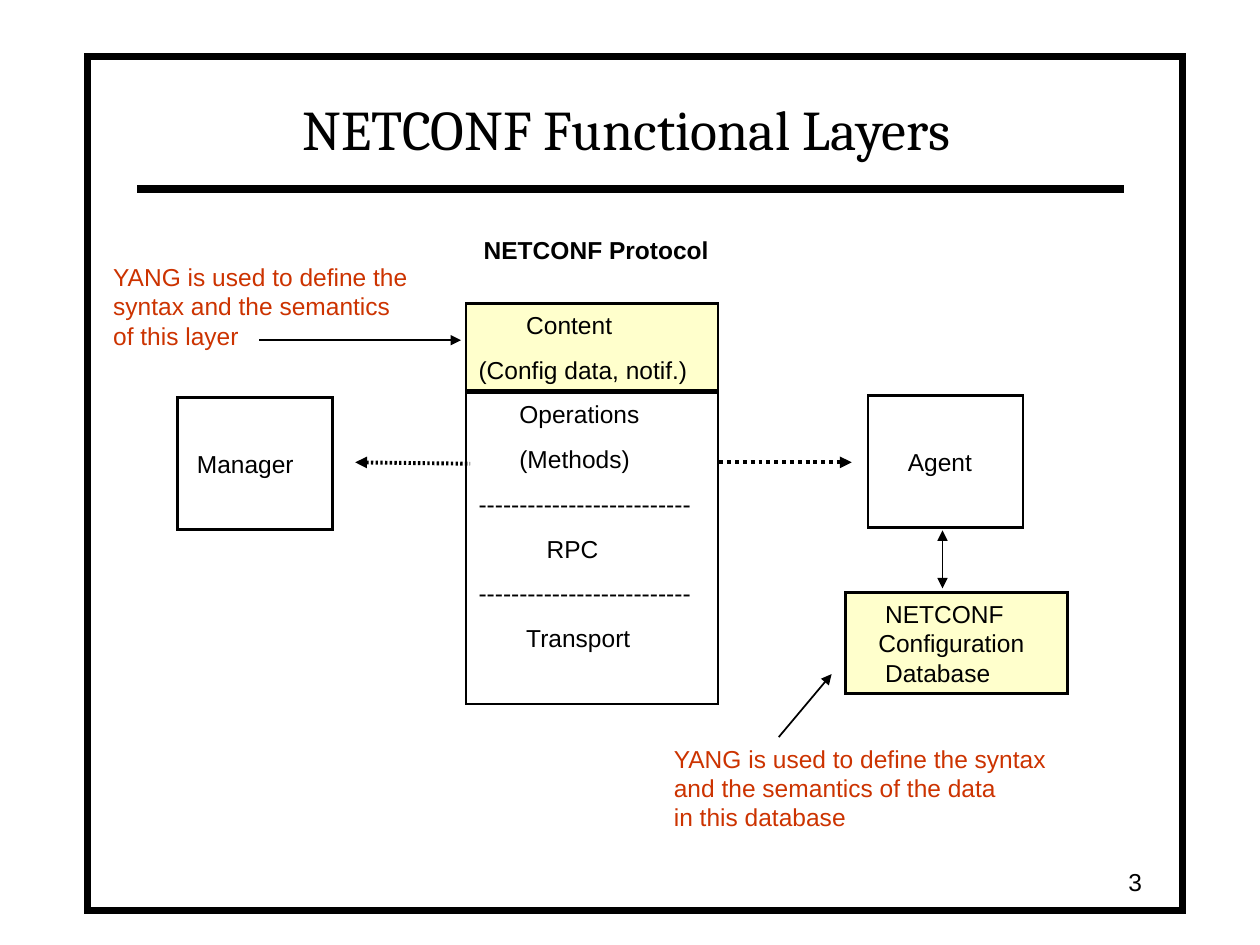
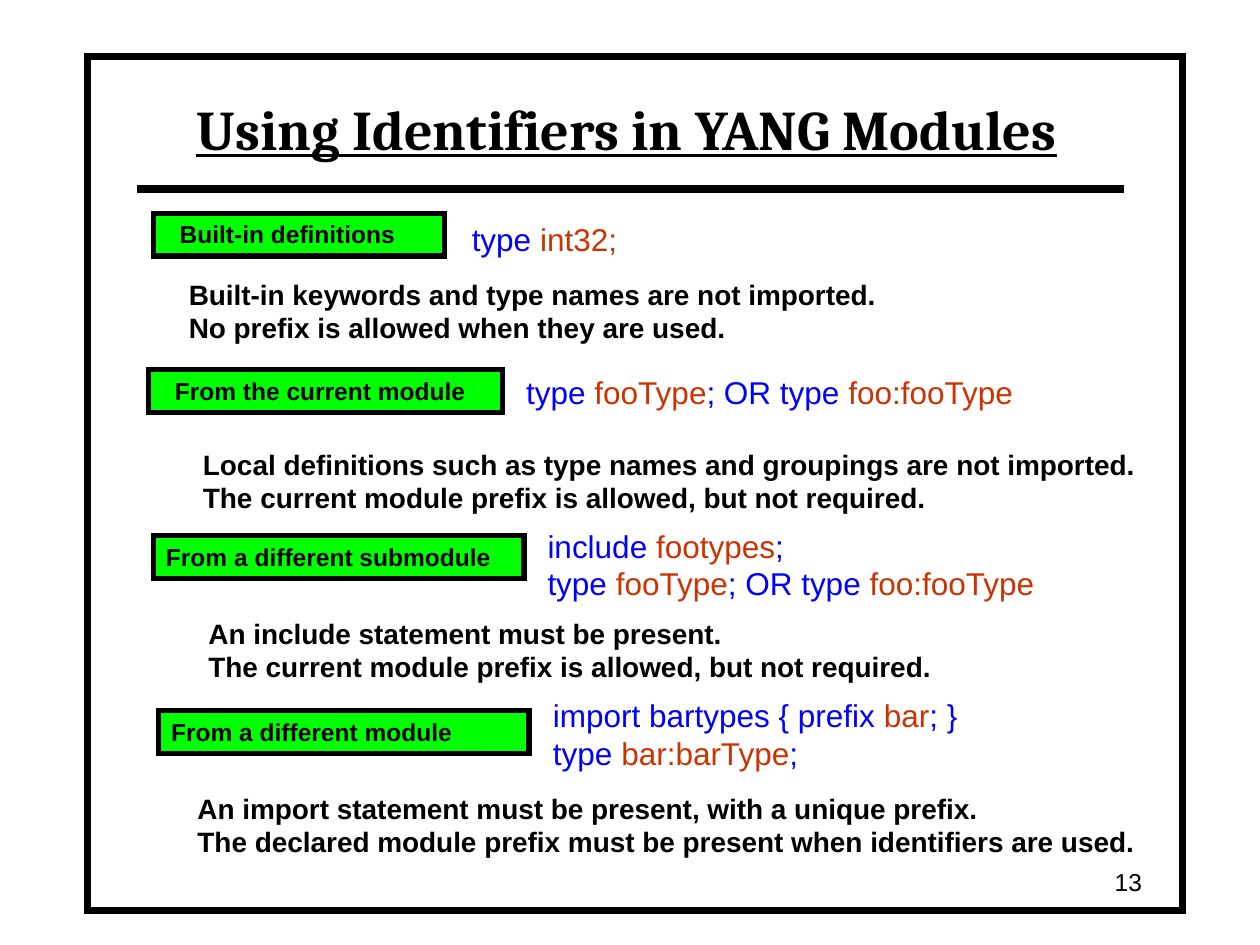
import pptx
import pptx.util
import pptx.dml.color
import pptx.enum.dml
import pptx.enum.shapes
import pptx.enum.text
import pptx.oxml.ns
import lxml.etree

Pt = pptx.util.Pt
rgb = pptx.dml.color.RGBColor.from_string
qn = pptx.oxml.ns.qn
ALIGN = pptx.enum.text.PP_ALIGN
ANCHOR = pptx.enum.text.MSO_ANCHOR
RECT = pptx.enum.shapes.MSO_SHAPE.RECTANGLE
DOT = pptx.enum.dml.MSO_LINE.ROUND_DOT

BLACK, WHITE, RED, BLUE = "000000", "FFFFFF", "CC3300", "0000FF"
CREAM, GREEN = "FFFFCC", "00FF00"


def box(slide, at, lines, size=14, inks=(BLACK,), bold=False, fill=None,
        edge=0, gap=0, dents=(), side=ALIGN.LEFT, anchor=ANCHOR.TOP):
    """Add a text box, or a rectangle if it has an edge.

    The parts of a line split by | take the inks in turn.
    """
    at = [Pt(n) for n in at]
    if edge:
        item = slide.shapes.add_shape(RECT, *at)
        item.shadow.inherit = False
        item.line.color.rgb = rgb(BLACK)
        item.line.width = Pt(edge)
        lxml.etree.SubElement(item.line._ln, qn("a:miter"), lim="800000")
    else:
        item = slide.shapes.add_textbox(*at)
    if fill:
        item.fill.solid()
        item.fill.fore_color.rgb = rgb(fill)
    else:
        item.fill.background()
    frame = item.text_frame
    frame.word_wrap = True
    frame.vertical_anchor = anchor
    for i, line in enumerate(lines):
        para = frame.add_paragraph() if i else frame.paragraphs[0]
        para.alignment = side
        if i and gap:
            para.space_before = Pt(gap)
        if dents and dents[i]:
            para._p.get_or_add_pPr().set("marL", str(Pt(dents[i])))
        para.font.name = "Arial"
        para.font.size = Pt(size)
        para.font.bold = bold
        for k, part in enumerate(line.split("|")):
            run = para.add_run()
            run.text = part
            run.font.color.rgb = rgb(inks[k % len(inks)])


def link(slide, ends, width, dash=None, heads=()):
    """Add a line; heads names the ends that bear an arrow."""
    line = slide.shapes.add_connector(
        pptx.enum.shapes.MSO_CONNECTOR.STRAIGHT, *[Pt(n) for n in ends])
    line.line.color.rgb = rgb(BLACK)
    line.line.width = Pt(width)
    if dash == "fine":
        cust = lxml.etree.SubElement(line.line._ln, qn("a:custDash"))
        lxml.etree.SubElement(cust, qn("a:ds"), d="60000", sp="60000")
    elif dash:
        line.line.dash_style = dash
    for head in heads:
        lxml.etree.SubElement(line.line._ln, qn("a:" + head), type="triangle")
    lxml.etree.SubElement(line._element.spPr, qn("a:effectLst"))


deck = pptx.Presentation()
deck.slide_width, deck.slide_height = Pt(720), Pt(540)

# Frame, rule, title and number of each slide
pages = []
for name, number, strong in (("NETCONF Functional Layers", "3", False),
                             ("Using Identifiers in YANG Modules", "13", True)):
    page = deck.slides.add_slide(deck.slide_layouts[5])
    page.background.fill.solid()
    page.background.fill.fore_color.rgb = rgb(WHITE)
    box(page, (50, 32, 625.7, 488.2), [], edge=4)
    link(page, (78.5, 108, 642.2, 108), 4.5)

    title = page.shapes.title
    title.left, title.top, title.width, title.height = (
        Pt(n) for n in (77.8, 41.8, 560.9, 54))
    title.text = name
    title.text_frame.auto_size = pptx.enum.text.MSO_AUTO_SIZE.NONE
    title.text_frame.vertical_anchor = ANCHOR.BOTTOM
    para = title.text_frame.paragraphs[0]
    para.alignment = ALIGN.CENTER
    para.font.name = "Cambria"
    para.font.size = Pt(32)
    para.font.color.rgb = rgb(BLACK)
    para.font.bold = para.font.underline = strong

    box(page, (509.8, 491.8, 149.8, 23.8), [number], side=ALIGN.RIGHT,
        anchor=ANCHOR.MIDDLE)
    pages.append(page)
layers, names = pages

# Manager and agent
for at, who, dent in (((101.5, 227, 88.5, 75.6), "Manager", 3.9),
                      ((496.1, 226, 88.5, 75.6), "Agent", 15.6)):
    box(layers, at, [who], edge=1.5, dents=[dent], anchor=ANCHOR.MIDDLE)

# Protocol stack
rule = "-" * 26
box(layers, (269.3, 131, 146, 24.5), ["NETCONF Protocol"], bold=True)
box(layers, (266.4, 224.6, 144, 177.8),
    ["Operations", "(Methods)", rule, "RPC", rule, "Transport"],
    edge=1.5, gap=8.8, dents=[23.3, 23.3, 0, 38.9, 0, 27.2])
box(layers, (266.4, 173.5, 144, 49.7), ["Content", "(Config data, notif.)"],
    fill=CREAM, edge=1.5, gap=8.8, dents=[27.2, 0])

# Database
box(layers, (483.1, 338.6, 126.9, 57.8),
    ["NETCONF", "Configuration", "Database"],
    fill=CREAM, edge=1.5, dents=[15.6, 11.7, 15.6])

# Remarks on YANG
box(layers, (57.6, 146.2, 187, 57.6),
    ["YANG is used to define the", "syntax and the semantics", "of this layer"],
    inks=[RED])
box(layers, (378, 421.4, 232, 57.6),
    ["YANG is used to define the syntax", "and the semantics of the data",
     "in this database"], inks=[RED])

# Arrows
link(layers, (203, 264.2, 268.6, 265), 2.25, "fine", ["headEnd"])
link(layers, (411.1, 264.2, 486.7, 264.2), 2.25, DOT, ["tailEnd"])
link(layers, (538.6, 303.1, 538.6, 336.2), 1, heads=["headEnd", "tailEnd"])
link(layers, (445, 421.2, 475.2, 385.2), 1, heads=["tailEnd"])
link(layers, (148.3, 194.4, 263.5, 194.4), 1, heads=["tailEnd"])

# Cases: tag (left, top, width, indent), code and note (left, top, width)
cases = [
    ("Built-in definitions", (87.8, 121.9, 166.3, 7.8),
     ["type |int32;"], (262.5, 122, 110),
     ["Built-in keywords and type names are not imported.",
      "No prefix is allowed when they are used."], (100.8, 155, 410)),
    ("From the current module", (85, 211.2, 202.3, 7.8),
     ["type |fooType|; OR type |foo:fooType"], (293.6, 209.5, 302),
     ["Local definitions such as type names and groupings are not imported.",
      "The current module prefix is allowed, but not required."],
     (108.9, 252, 565)),
    ("From a different submodule", (87.8, 306, 211.7, 0),
     ["include |footypes|;", "type |fooType|; OR type |foo:fooType"],
     (305.8, 297.4, 302),
     ["An include statement must be present.",
      "The current module prefix is allowed, but not required."],
     (112, 348.7, 435.6)),
    ("From a different module", (90.7, 406.1, 211.7, 0),
     ["import bartypes { prefix |bar|; }", "type |bar:barType|;"],
     (308.9, 394.1, 254),
     ["An import statement must be present, with a unique prefix.",
      "The declared module prefix must be present when identifiers are used."],
     (105.8, 448.6, 565)),
]
for tag, (left, top, width, dent), code, spot, note, place in cases:
    box(names, (left, top, width, 24.5), [tag], bold=True, fill=GREEN,
        edge=3, dents=[dent])
    box(names, (*spot, 7.2 + 21.6 * len(code)), code, 18, [BLUE, RED])
    box(names, (*place, 46.1), note, 16, bold=True)

deck.save("out.pptx")
